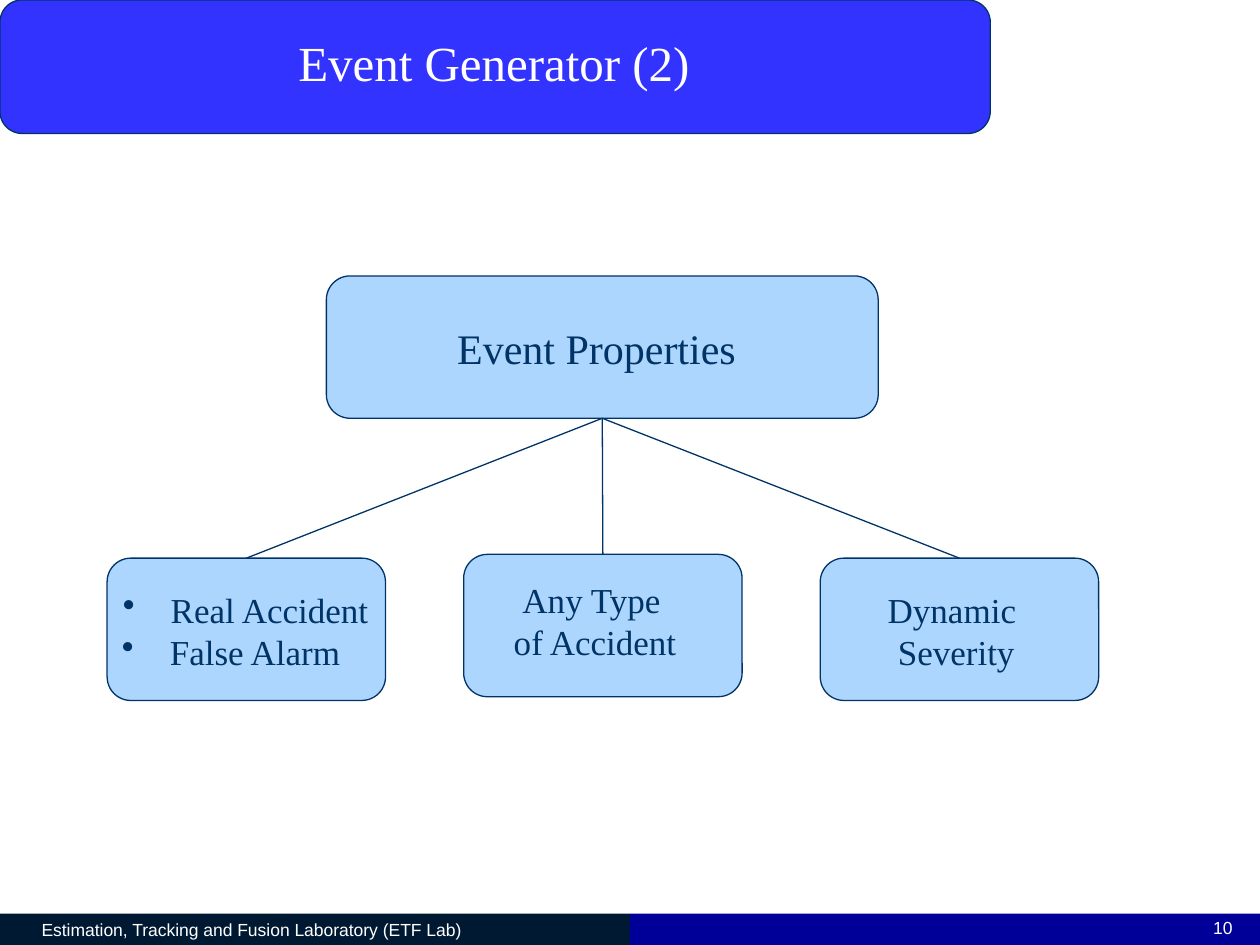
from dataclasses import dataclass

from lxml.etree import SubElement
from pptx import Presentation
from pptx.dml.color import RGBColor
from pptx.enum.shapes import MSO_CONNECTOR, MSO_SHAPE
from pptx.enum.text import MSO_ANCHOR, MSO_AUTO_SIZE, PP_ALIGN
from pptx.oxml.ns import qn
from pptx.util import Inches, Pt


@dataclass(frozen=True)
class Theme:
    banner: str = "3333FF"
    box: str = "ADD6FF"
    ink: str = "003366"
    footer_left: str = "001933"
    footer_right: str = "000099"
    white: str = "FFFFFF"
    serif: str = "Times New Roman"
    sans: str = "Arial"
    title_size: int = 28
    root_size: int = 24
    leaf_size: int = 20
    footer_size: int = 10
    line_width: float = 0.75


THEME = Theme()
LEFT, CENTER, RIGHT = PP_ALIGN.LEFT, PP_ALIGN.CENTER, PP_ALIGN.RIGHT
TOP, BOTTOM = 0, 2  # connection sites
BOX_HEIGHT = 1.13
LEAF_WIDTH = 2.21


def rgb(color):
    return RGBColor.from_string(color)


def add_block(slide, kind, place, fill, line=None):
    block = slide.shapes.add_shape(kind, *map(Inches, place))
    block.shadow.inherit = False
    block.fill.solid()
    block.fill.fore_color.rgb = rgb(fill)
    if line:
        block.line.color.rgb = rgb(line)
        block.line.width = Pt(THEME.line_width)
    else:
        block.line.fill.background()
    return block


def add_node(slide, place, fill=THEME.box):
    return add_block(slide, MSO_SHAPE.ROUNDED_RECTANGLE, place, fill, THEME.ink)


def add_bullet(paragraph):
    properties = paragraph._p.get_or_add_pPr()
    properties.set("marL", str(Inches(0.38)))
    properties.set("indent", str(-Inches(0.38)))
    SubElement(properties, qn("a:buChar"), char="•")


def write(frame, lines, *, size, color=THEME.ink, font=THEME.serif,
          aligns=(CENTER,), bullets=False):
    """Fill the frame; the last alignment also holds for any further lines."""
    for i, line in enumerate(lines):
        paragraph = frame.add_paragraph() if i else frame.paragraphs[0]
        paragraph.alignment = aligns[min(i, len(aligns) - 1)]
        if bullets:
            add_bullet(paragraph)
        run = paragraph.add_run()
        run.text = line
        run.font.size = Pt(size)
        run.font.name = font
        run.font.color.rgb = rgb(color)


def add_label(slide, place, lines, wrap=False, **text_format):
    frame = slide.shapes.add_textbox(*map(Inches, place)).text_frame
    frame.word_wrap = wrap
    frame.auto_size = MSO_AUTO_SIZE.SHAPE_TO_FIT_TEXT
    write(frame, lines, **text_format)


def add_branch(slide, root, leaf):
    branch = slide.shapes.add_connector(MSO_CONNECTOR.STRAIGHT, 0, 0, 0, 0)
    branch.begin_connect(root, BOTTOM)
    branch.end_connect(leaf, TOP)
    branch.line.color.rgb = rgb(THEME.ink)
    branch.line.width = Pt(THEME.line_width)
    SubElement(branch._element.spPr, qn("a:effectLst"))


def add_footer(slide):
    footer_format = dict(size=THEME.footer_size, color=THEME.white, font=THEME.sans)
    lab = add_block(slide, MSO_SHAPE.RECTANGLE, (0, 7.25, 5, 0.25), THEME.footer_left)
    add_block(slide, MSO_SHAPE.RECTANGLE, (5, 7.25, 5, 0.25), THEME.footer_right)
    frame = lab.text_frame
    frame.word_wrap = True
    frame.vertical_anchor = MSO_ANCHOR.MIDDLE
    frame.margin_left = Inches(0.33)
    write(frame, ["Estimation, Tracking and Fusion Laboratory (ETF Lab)"],
          aligns=(LEFT,), **footer_format)
    add_label(slide, (8.97, 7.23, 0.91, 0.27), ["10"], wrap=True,
              aligns=(RIGHT,), **footer_format)


def add_tree(slide):
    root = add_node(slide, (2.59, 2.19, 4.38, BOX_HEIGHT))
    add_label(slide, (3.53, 2.51, 2.43, 0.5), ["Event Properties"],
              size=THEME.root_size, aligns=(LEFT,))

    # Leaf position, label place, label lines, label format
    leaves = [
        ((0.85, 4.43), (0.87, 4.62, 2.16, 0.77), ["Real Accident", "False Alarm"],
         dict(aligns=(CENTER, LEFT), bullets=True)),
        ((3.68, 4.4), (3.91, 4.54, 1.57, 0.77), ["Any Type", " of Accident"],
         dict(aligns=(CENTER, LEFT))),
        ((6.51, 4.43), (6.94, 4.62, 1.23, 0.77), ["Dynamic", " Severity"], {}),
    ]
    nodes = []
    for corner, label_place, lines, label_format in leaves:
        nodes.append(add_node(slide, (*corner, LEAF_WIDTH, BOX_HEIGHT)))
        add_label(slide, label_place, lines, size=THEME.leaf_size, **label_format)

    real_or_false, accident_type, severity = nodes
    for leaf in (accident_type, real_or_false, severity):
        add_branch(slide, root, leaf)


def main():
    deck = Presentation()
    deck.slide_width, deck.slide_height = Inches(10), Inches(7.5)
    slide = deck.slides.add_slide(deck.slide_layouts[6])
    add_node(slide, (0, 0, 7.86, 1.06), THEME.banner)
    add_footer(slide)
    add_tree(slide)
    add_label(slide, (0.59, 0.21, 6.66, 0.57), ["Event Generator (2)"], wrap=True,
              size=THEME.title_size, color=THEME.white)
    deck.save("out.pptx")


if __name__ == "__main__":
    main()
